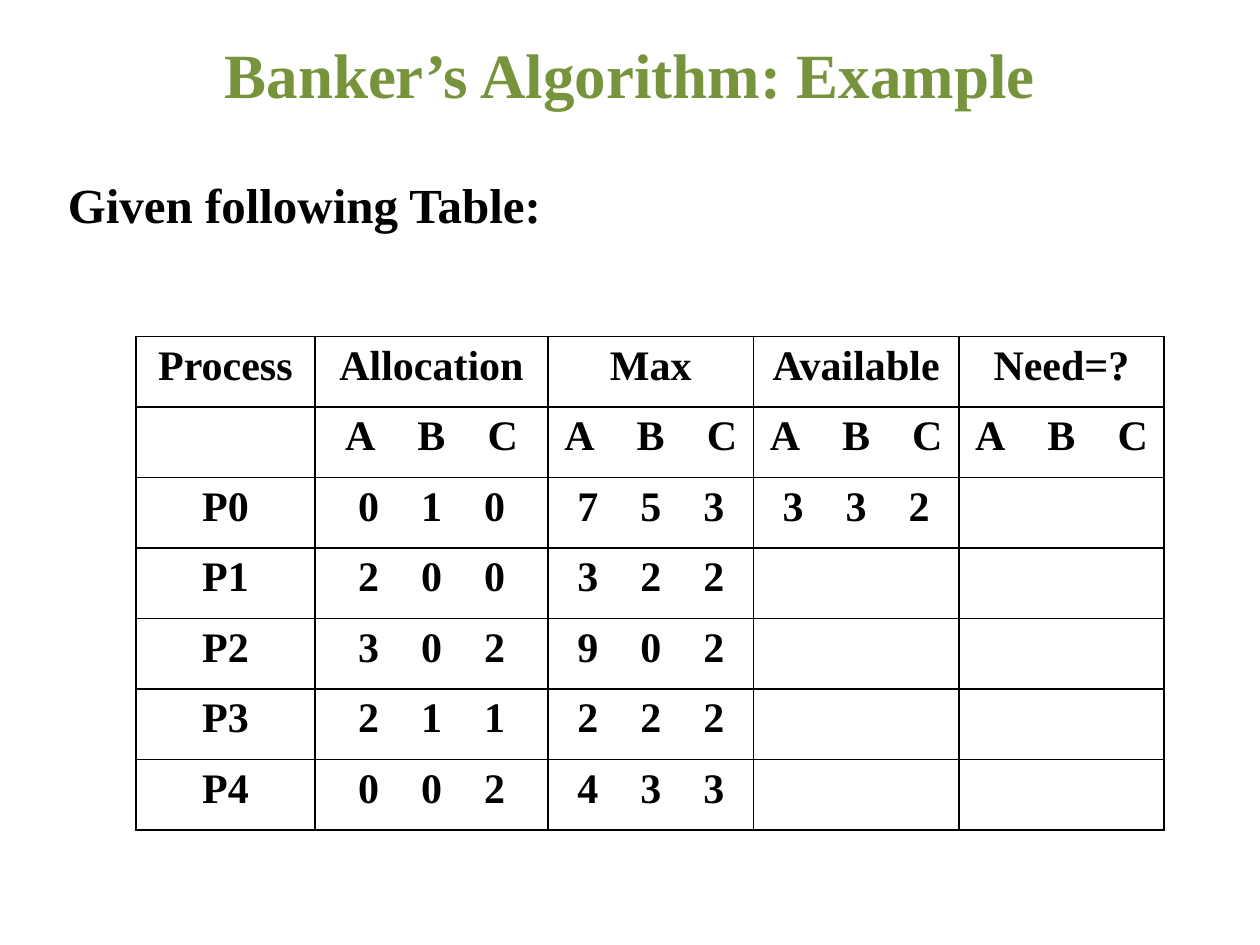
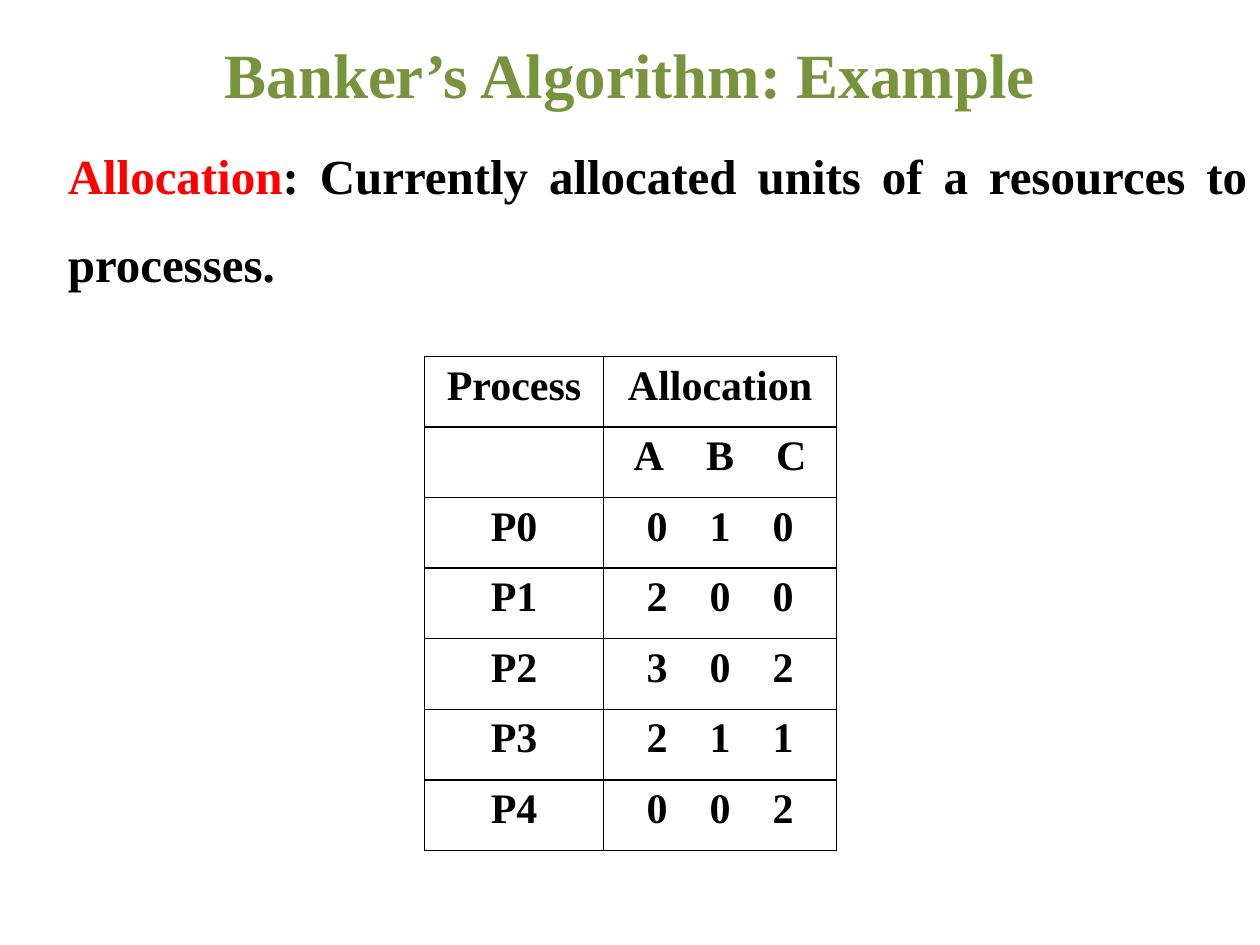
from pptx import Presentation
from pptx.dml.color import RGBColor
from pptx.enum.text import MSO_ANCHOR as Anchor, PP_ALIGN as Align
from pptx.oxml import parse_xml
from pptx.oxml.ns import nsdecls
from pptx.util import Inches, Pt

COLORS = {"title": "77933C", "text": "000000", "term": "FF0000", "border": "000000"}
FONT = "Times New Roman"
TITLE = "Banker’s Algorithm: Example"
ROW_HEIGHT = 0.56
LETTER_GAP = 18  # points added to the space between two resource values
COLUMN_WIDTHS = [1.42, 1.85, 1.63, 1.63, 1.63]

ROWS = [
    ["Process", "Allocation", "Max", "Available", "Need=?"],
    ["", "A B C", "A B C", "A B C", "A B C"],
    ["P0", "0 1 0", "7 5 3", "3 3 2", ""],
    ["P1", "2 0 0", "3 2 2", "", ""],
    ["P2", "3 0 2", "9 0 2", "", ""],
    ["P3", "2 1 1", "2 2 2", "", ""],
    ["P4", "0 0 2", "4 3 3", "", ""],
]

PAGES = [
    {
        "body": [("Given following Table:", "text")],
        "line_spacing": 2.0,
        "table_at": (1.08, 2.67),
        "columns": 5,
    },
    {
        "body": [
            ("Allocation", "term"),
            (": Currently allocated units of a resources to processes.", "text"),
        ],
        "line_spacing": 1.5,
        "table_at": (3.37, 2.83),
        "columns": 2,
    },
]


def add_span(para, text, size=24, color="text", spacing=0):
    """Append a bold run; spacing widens its characters, in points."""
    span = para.add_run()
    span.text = text
    span.font.name = FONT
    span.font.size = Pt(size)
    span.font.bold = True
    span.font.color.rgb = RGBColor.from_string(COLORS[color])
    if spacing:
        span.font._element.set("spc", str(spacing * 100))


def add_borders(cell):
    """Draw a 1 pt line on all four sides of a table cell."""
    properties = cell._tc.get_or_add_tcPr()
    for side in ("lnL", "lnR", "lnT", "lnB"):
        properties.append(parse_xml(
            f'<a:{side} {nsdecls("a")} w="{Pt(1)}"><a:solidFill>'
            f'<a:srgbClr val="{COLORS["border"]}"/></a:solidFill></a:{side}>'
        ))


deck = Presentation()
deck.slide_width, deck.slide_height = Inches(10), Inches(7.5)
blank = deck.slide_layouts[6]

for content in PAGES:
    page = deck.slides.add_slide(blank)

    # Body text
    box = page.shapes.add_textbox(Inches(0), Inches(0.87), Inches(10), Inches(6.63))
    box.text_frame.word_wrap = True
    para = box.text_frame.paragraphs[0]
    para.alignment = Align.JUSTIFY
    para.line_spacing = content["line_spacing"]
    para.space_before = Pt(5.6)
    para._p.get_or_add_pPr().set("marL", str(Inches(0.44)))
    for text, color in content["body"]:
        add_span(para, text, size=28, color=color)

    # Title
    box = page.shapes.add_textbox(Inches(0), Inches(0), Inches(10), Inches(1.17))
    box.text_frame.word_wrap = True
    box.text_frame.vertical_anchor = Anchor.MIDDLE
    para = box.text_frame.paragraphs[0]
    para.alignment = Align.CENTER
    add_span(para, TITLE, size=36, color="title")

    # Resource table
    left, top = content["table_at"]
    widths = COLUMN_WIDTHS[:content["columns"]]
    table = page.shapes.add_table(
        len(ROWS), len(widths), Inches(left), Inches(top),
        Inches(sum(widths)), Inches(ROW_HEIGHT * len(ROWS)),
    ).table
    table.first_row = table.horz_banding = False
    for column, width in zip(table.columns, widths):
        column.width = Inches(width)
    for row, texts in zip(table.rows, ROWS):
        row.height = Inches(ROW_HEIGHT)
        for cell, text in zip(row.cells, texts):
            add_borders(cell)
            cell.fill.background()
            para = cell.text_frame.paragraphs[0]
            para.alignment = Align.CENTER
            for index, part in enumerate(text.split()):
                if index:
                    add_span(para, " ", spacing=LETTER_GAP)
                add_span(para, part)

deck.save("out.pptx")
